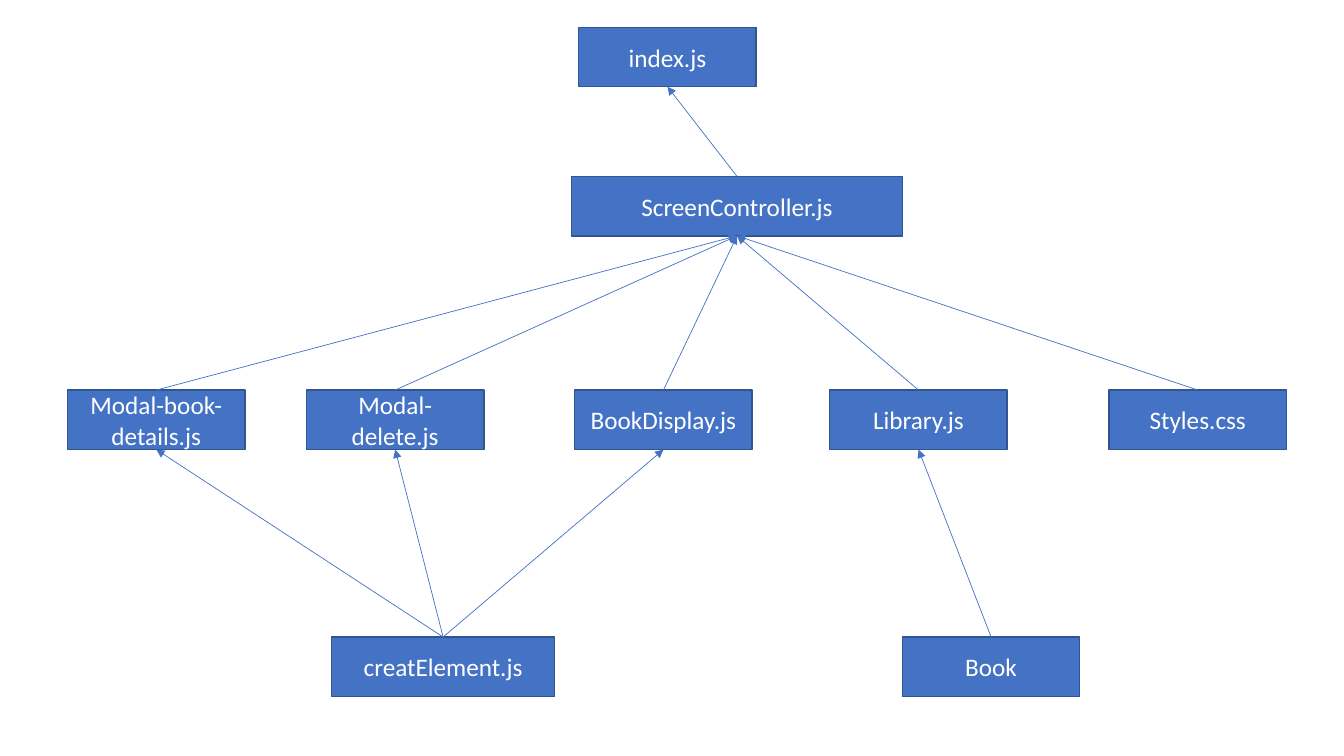
from lxml import etree
from pptx import Presentation
from pptx.dml.color import RGBColor
from pptx.enum.shapes import MSO_CONNECTOR, MSO_SHAPE
from pptx.enum.text import MSO_ANCHOR, PP_ALIGN
from pptx.oxml.ns import qn
from pptx.util import Inches, Pt

RECT, STRAIGHT = MSO_SHAPE.RECTANGLE, MSO_CONNECTOR.STRAIGHT
MIDDLE, CENTER = MSO_ANCHOR.MIDDLE, PP_ALIGN.CENTER
BLUE = RGBColor(0x44, 0x72, 0xC4)
BORDER = RGBColor(0x32, 0x54, 0x91)
WHITE = RGBColor(0xFF, 0xFF, 0xFF)

# Rows of the tree (tops) and box sizes, in inches
ENTRY, CONTROLLER, MODULES, HELPERS = 0.27, 1.75, 3.87, 6.32
BOX_W, BOX_H = 1.76, 0.59
TOP_SITE, BOTTOM_SITE = 0, 2

prs = Presentation()
prs.slide_width, prs.slide_height = Inches(13.33), Inches(7.5)
s = prs.slides.add_slide(prs.slide_layouts[6])


def add_text(sp, text, size=18, font="Calibri", color=WHITE, align=CENTER):
    tf = sp.text_frame
    tf.word_wrap = True
    tf.vertical_anchor = MIDDLE
    p = tf.paragraphs[0]
    p.alignment = align
    r = p.add_run()
    r.text = text
    r.font.size, r.font.name = Pt(size), font
    r.font.color.rgb = color


# File boxes: name, left, row, width
files = [
    ("index.js", 5.74, ENTRY, BOX_W),
    ("ScreenController.js", 5.67, CONTROLLER, 3.28),
    ("Modal-book-details.js", 0.67, MODULES, BOX_W),
    ("Modal-delete.js", 3.04, MODULES, BOX_W),
    ("BookDisplay.js", 5.7, MODULES, BOX_W),
    ("Library.js", 8.23, MODULES, BOX_W),
    ("Styles.css", 11, MODULES, BOX_W),
    ("creatElement.js", 3.29, HELPERS, 2.21),
    ("Book", 8.95, HELPERS, BOX_W),
]
boxes = {}
for name, left, row, width in files:
    sp = s.shapes.add_shape(RECT, Inches(left), Inches(row), Inches(width), Inches(BOX_H))
    sp.shadow.inherit = False
    sp.fill.solid()
    sp.fill.fore_color.rgb = BLUE
    sp.line.color.rgb = BORDER
    sp.line.width = Pt(1)
    add_text(sp, name)
    boxes[name] = sp

# Import arrows: each file points up to the files that use it
used_by = {
    "ScreenController.js": ["index.js"],
    "Modal-book-details.js": ["ScreenController.js"],
    "Modal-delete.js": ["ScreenController.js"],
    "BookDisplay.js": ["ScreenController.js"],
    "Library.js": ["ScreenController.js"],
    "Styles.css": ["ScreenController.js"],
    "creatElement.js": ["Modal-book-details.js", "Modal-delete.js", "BookDisplay.js"],
    "Book": ["Library.js"],
}
for name, users in used_by.items():
    for user in users:
        start, end = boxes[name], boxes[user]
        arrow = s.shapes.add_connector(
            STRAIGHT, start.left + start.width // 2, start.top,
            end.left + end.width // 2, end.top + end.height)
        arrow.begin_connect(start, TOP_SITE)
        arrow.end_connect(end, BOTTOM_SITE)
        arrow.line.color.rgb = BLUE
        arrow.line.width = Pt(0.5)
        etree.SubElement(arrow.line._get_or_add_ln(), qn("a:tailEnd"), type="triangle")
        etree.SubElement(arrow._element.spPr, qn("a:effectLst"))

prs.save("out.pptx")
